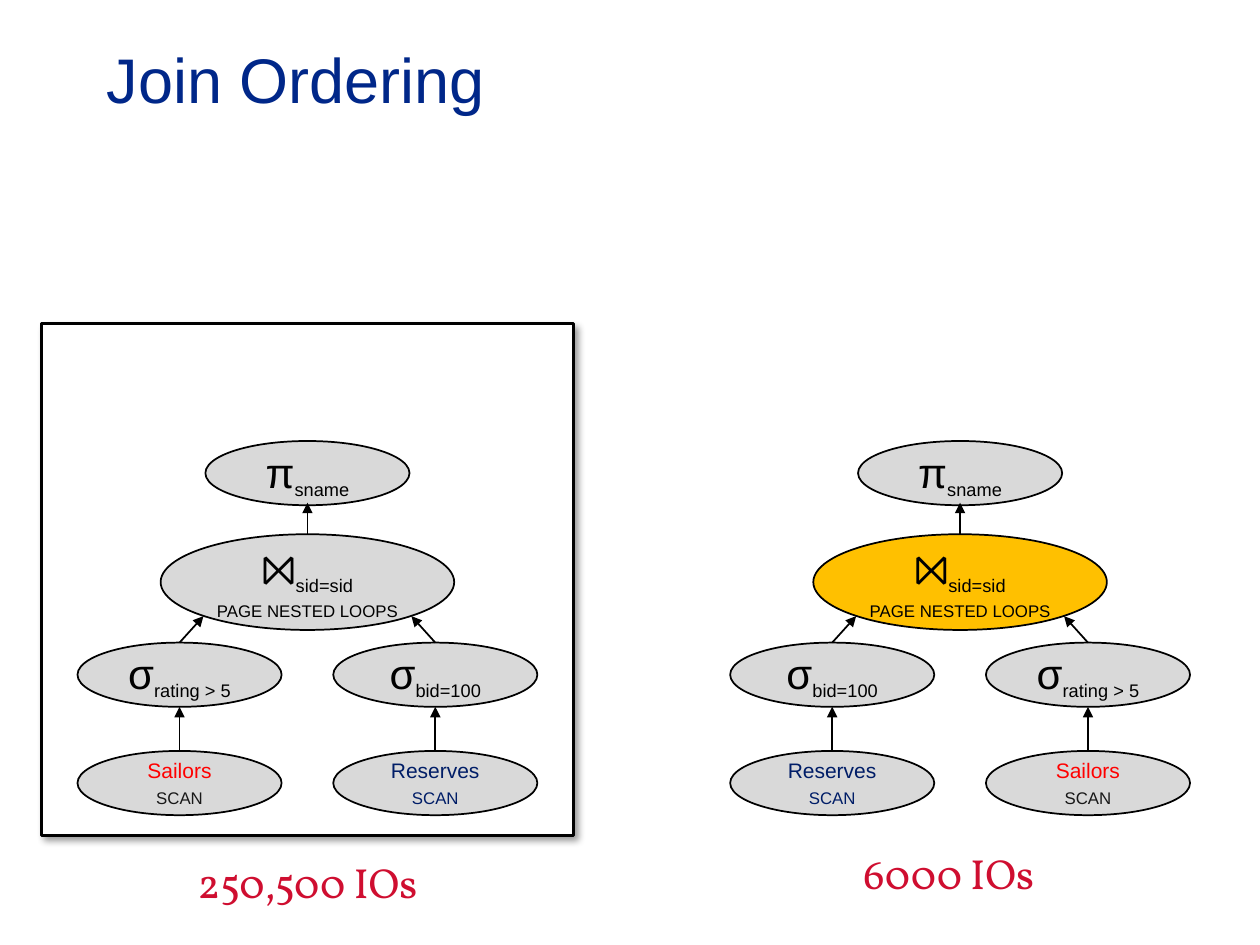
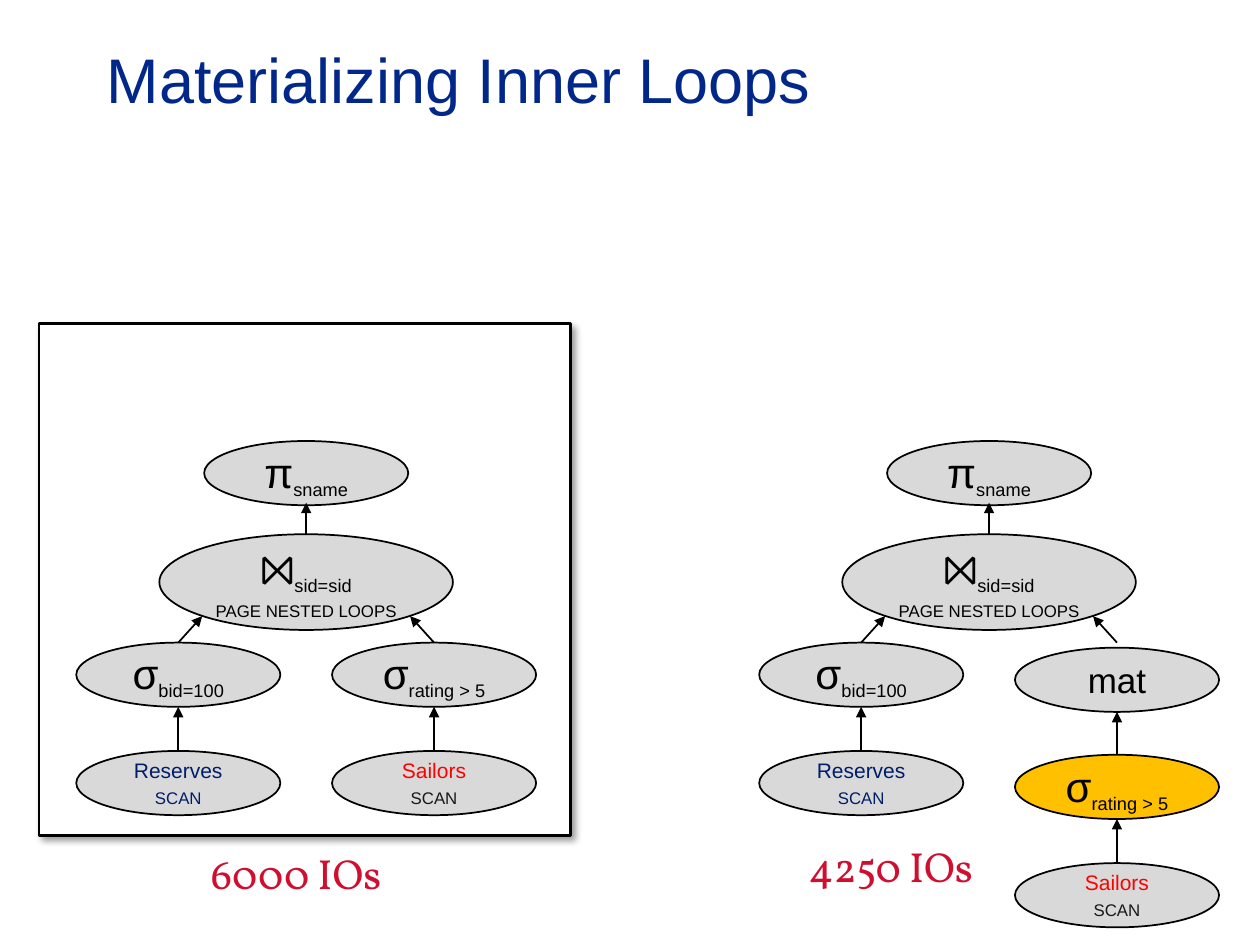
from lxml import etree
from pptx import Presentation
from pptx.dml.color import RGBColor
from pptx.enum.shapes import MSO_CONNECTOR, MSO_SHAPE
from pptx.enum.text import MSO_ANCHOR, PP_ALIGN
from pptx.oxml import parse_xml
from pptx.oxml.ns import nsdecls, qn
from pptx.util import Inches, Pt

OVAL, RECT = MSO_SHAPE.OVAL, MSO_SHAPE.RECTANGLE
LINE = MSO_CONNECTOR.STRAIGHT
MIDDLE = MSO_ANCHOR.MIDDLE
LEFT, CENTER = PP_ALIGN.LEFT, PP_ALIGN.CENTER

BLACK = RGBColor(0x00, 0x00, 0x00)
WHITE = RGBColor(0xFF, 0xFF, 0xFF)
GRAY = RGBColor(0xD9, 0xD9, 0xD9)
GOLD = RGBColor(0xFF, 0xC0, 0x00)
NAVY = RGBColor(0x00, 0x1D, 0x67)
BLUE = RGBColor(0x00, 0x27, 0x89)
RED = RGBColor(0xFF, 0x00, 0x00)
CRIMSON = RGBColor(0xCF, 0x0E, 0x30)
INK = RGBColor(0x18, 0x18, 0x18)

SANS, SERIF = "Arial", "Vollkorn"
WIDE, HIGH = 10, 7.5
NODE_W, NODE_H = 1.62, 0.51
JOIN_W, JOIN_H = 2.33, 0.76
TOP_Y, JOIN_Y = 3.5, 4.24
ROWS = (5.1, 5.96)
DEEP = (5.14, 5.99, 6.85)
SPREAD = 1.015
TIP_X, TIP_Y = 0.825, 4.89

SHADOW = (
    f'<a:effectLst {nsdecls("a")}>'
    '<a:outerShdw blurRad="50800" dist="38100" dir="2700000" algn="tl" rotWithShape="0">'
    '<a:srgbClr val="000000"><a:alpha val="40000"/></a:srgbClr>'
    '</a:outerShdw></a:effectLst>'
)


def style(run, size, color=BLACK, font=SANS, sub=False, caps=False):
    run.font.name = font
    run.font.size = Pt(size)
    run.font.color.rgb = color
    props = run._r.get_or_add_rPr()
    if sub:
        props.set("baseline", "-25000")
    if caps:
        props.set("cap", "small")


def add_run(para, text, size, **look):
    run = para.add_run()
    run.text = text
    style(run, size, **look)


def add_shape(slide, kind, box, fill, weight):
    shape = slide.shapes.add_shape(kind, *map(Inches, box))
    shape.shadow.inherit = False
    shape.fill.solid()
    shape.fill.fore_color.rgb = fill
    shape.line.color.rgb = BLACK
    shape.line.width = Pt(weight)
    return shape


def add_oval(slide, mid, top, fill, width=NODE_W, height=NODE_H):
    box = (mid - width / 2, top, width, height)
    frame = add_shape(slide, OVAL, box, fill, 1).text_frame
    frame.margin_left = frame.margin_right = 0
    frame.margin_top = frame.margin_bottom = 0
    frame.word_wrap = True
    frame.vertical_anchor = MIDDLE
    frame.paragraphs[0].alignment = CENTER
    return frame


def add_op(slide, mid, top, sign, note, fill=GRAY):
    para = add_oval(slide, mid, top, fill).paragraphs[0]
    add_run(para, sign, 24)
    add_run(para, note, 18, sub=True)


def add_join(slide, mid, fill):
    para = add_oval(slide, mid, JOIN_Y, fill, JOIN_W, JOIN_H).paragraphs[0]
    add_run(para, "⨝", 24)
    add_run(para, "sid=sid", 18, sub=True)
    para.add_line_break()
    add_run(para, "page nested loops", 12, caps=True)


def add_scan(slide, mid, top, name, color, tint):
    frame = add_oval(slide, mid, top, GRAY)
    frame.text = f"{name}\nscan"
    for para, shade, caps in zip(frame.paragraphs, (color, tint), (False, True)):
        para.alignment = CENTER
        style(para.runs[0], 12, shade, caps=caps)


def bid(slide, mid, top):
    add_op(slide, mid, top, "σ", "bid=100")


def rating(slide, mid, top, fill=GRAY):
    add_op(slide, mid, top, "σ", "rating > 5", fill)


def hot_rating(slide, mid, top):
    rating(slide, mid, top, GOLD)


def mat(slide, mid, top):
    para = add_oval(slide, mid, top, GRAY).paragraphs[0]
    add_run(para, "mat", 20)


def sailors(slide, mid, top):
    add_scan(slide, mid, top, "Sailors", RED, INK)


def reserves(slide, mid, top):
    add_scan(slide, mid, top, "Reserves", NAVY, NAVY)


def add_arrow(slide, *ends):
    line = slide.shapes.add_connector(LINE, *map(Inches, ends))
    line.line.color.rgb = BLACK
    line.line.width = Pt(1)
    etree.SubElement(line.line._get_or_add_ln(), qn("a:tailEnd"), type="triangle")
    etree.SubElement(line._element.spPr, qn("a:effectLst"))


def add_branch(slide, mid, side, nodes):
    x = mid + side * SPREAD
    tops = DEEP if len(nodes) == len(DEEP) else ROWS
    for node, top in zip(nodes, tops):
        node(slide, x, top)
    for upper, lower in zip(tops, tops[1:]):
        add_arrow(slide, x, lower, x, upper + NODE_H)
    add_arrow(slide, x, ROWS[0], mid + side * TIP_X, TIP_Y)


def add_tree(slide, mid, left, right, fill=GRAY):
    add_op(slide, mid, TOP_Y, "π", "sname")
    add_join(slide, mid, fill)
    add_arrow(slide, mid, JOIN_Y, mid, TOP_Y + NODE_H - 0.02)
    add_branch(slide, mid, -1, left)
    add_branch(slide, mid, 1, right)


def add_text(slide, box, text, size, color, font, align, wrap):
    frame = slide.shapes.add_textbox(*map(Inches, box)).text_frame
    frame.word_wrap = wrap
    frame.vertical_anchor = MIDDLE
    frame.text = text
    para = frame.paragraphs[0]
    para.alignment = align
    style(para.runs[0], size, color, font)


def add_cost(slide, left, top, text):
    add_text(slide, (left, top, 2.08, 0.5), text, 24, CRIMSON, SERIF, CENTER, False)


def add_frame(slide, left):
    shape = add_shape(slide, RECT, (left, 2.57, 4.22, 4.06), WHITE, 1.5)
    props = shape._element.spPr
    props.replace(props.find(qn("a:effectLst")), parse_xml(SHADOW))


def add_page(deck, title, left):
    slide = deck.slides.add_slide(deck.slide_layouts[6])
    add_text(slide, (0.75, 0, 8.5, 1.25), title, 36, BLUE, SANS, LEFT, True)
    add_frame(slide, left)
    return slide


def main():
    deck = Presentation()
    deck.slide_width, deck.slide_height = Inches(WIDE), Inches(HIGH)

    order = add_page(deck, "Join Ordering", 0.33)
    add_tree(order, 2.44, (rating, sailors), (bid, reserves))
    add_tree(order, 7.62, (bid, reserves), (rating, sailors), GOLD)
    add_cost(order, 1.4, 6.75, "250,500 IOs")
    add_cost(order, 6.49, 6.68, "6000 IOs")

    inner = add_page(deck, "Materializing Inner Loops", 0.31)
    add_tree(inner, 2.43, (bid, reserves), (rating, sailors))
    add_tree(inner, 7.85, (bid, reserves), (mat, hot_rating, sailors))
    add_cost(inner, 1.31, 6.68, "6000 IOs")
    add_cost(inner, 6.03, 6.62, "4250 IOs")

    deck.save("out.pptx")


main()
